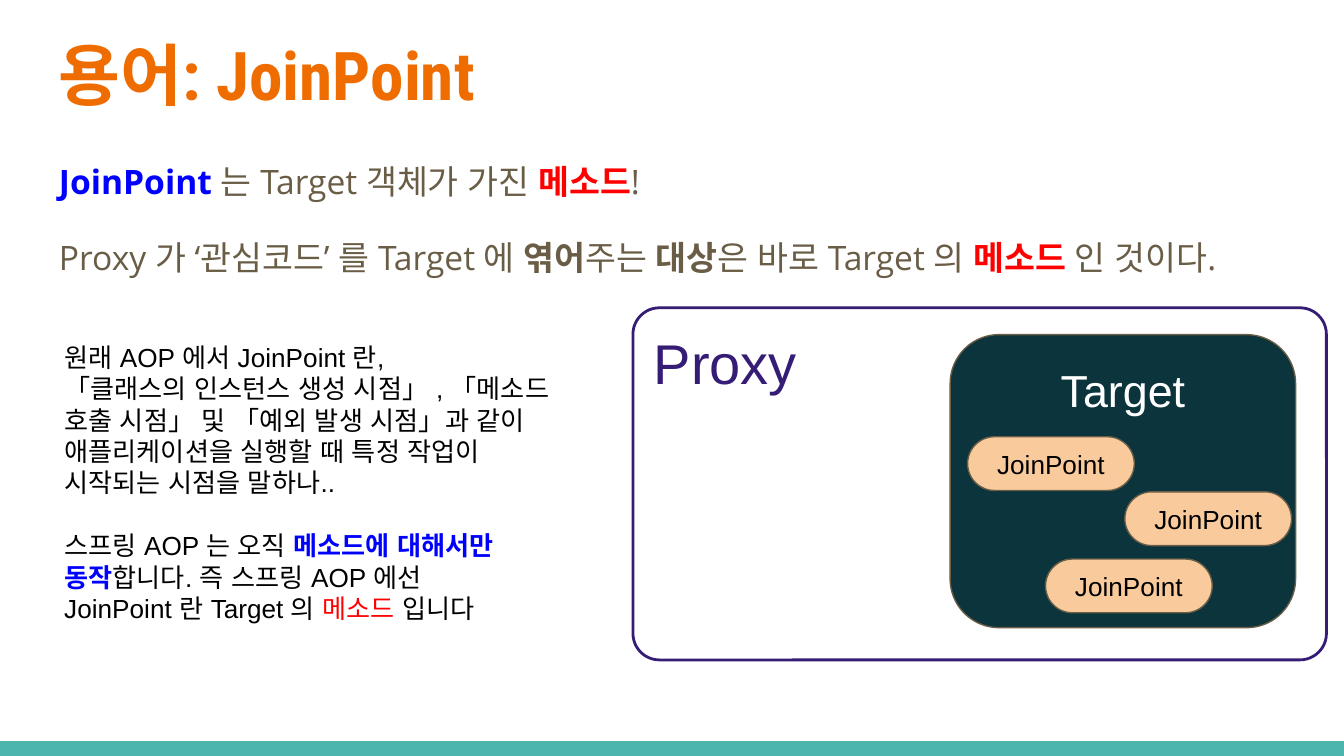
from dataclasses import dataclass

from lxml.etree import SubElement
from pptx import Presentation
from pptx.dml.color import RGBColor
from pptx.enum.shapes import MSO_SHAPE
from pptx.enum.text import MSO_ANCHOR, PP_ALIGN
from pptx.oxml.ns import qn
from pptx.util import Inches, Pt

COLUMNS, ROWS = 100, 56.25
ORANGE, BROWN, BLUE, RED = "EF6C00", "695D46", "0000FF", "FF0000"
BLACK, WHITE, PURPLE, NAVY = "000000", "FFFFFF", "351C75", "0C343D"
PEACH, TEAL = "F9CB9C", "4DB6AC"

presentation = Presentation()
presentation.slide_width = Inches(10)
presentation.slide_height = Inches(5.625)
slide = presentation.slides.add_slide(presentation.slide_layouts[6])


@dataclass(frozen=True)
class Area:
    """A place on the slide, in grid columns and rows."""
    left: float
    top: float
    width: float
    height: float

    def lengths(self) -> list[int]:
        column = presentation.slide_width / COLUMNS
        row = presentation.slide_height / ROWS
        return [round(self.left * column), round(self.top * row),
                round(self.width * column), round(self.height * row)]


@dataclass(frozen=True)
class Span:
    text: str
    color: str
    bold: bool = False


def rgb(color: str) -> RGBColor:
    return RGBColor.from_string(color)


def write(shape, *paragraphs: list[Span], size: float, font: str = "Arial",
          align=PP_ALIGN.LEFT, anchor=MSO_ANCHOR.TOP, inset: float = 0.1,
          line_spacing: float = 1.0, gaps: tuple = ()) -> None:
    """Fill a shape with text; gaps are the points before each later paragraph."""
    frame = shape.text_frame
    frame.word_wrap = True
    frame.vertical_anchor = anchor
    frame.margin_left = frame.margin_right = Inches(inset)
    frame.margin_top = frame.margin_bottom = Inches(inset)
    for index, spans in enumerate(paragraphs):
        paragraph = frame.add_paragraph() if index else frame.paragraphs[0]
        paragraph.alignment = align
        paragraph.line_spacing = line_spacing
        if index and gaps:
            paragraph.space_before = Pt(gaps[index - 1])
        for span in spans:
            for position, line in enumerate(span.text.split("\n")):
                if position:
                    paragraph.add_line_break()
                run = paragraph.add_run()
                run.text = line
                run.font.size = Pt(size)
                run.font.bold = span.bold
                run.font.color.rgb = rgb(span.color)
                run.font.name = font
                for script in ("a:ea", "a:cs"):
                    SubElement(run.font._element, qn(script), typeface=font)


def add_text(area: Area, *paragraphs: list[Span], **text_format) -> None:
    write(slide.shapes.add_textbox(*area.lengths()), *paragraphs, **text_format)


def add_block(kind: MSO_SHAPE, area: Area, fill: str = "", line: str = "",
              line_width: float = 0.75):
    shape = slide.shapes.add_shape(kind, *area.lengths())
    shape.shadow.inherit = False
    if fill:
        shape.fill.solid()
        shape.fill.fore_color.rgb = rgb(fill)
    else:
        shape.fill.background()
    if line:
        shape.line.color.rgb = rgb(line)
        shape.line.width = Pt(line_width)
    else:
        shape.line.fill.background()
    return shape


def add_join_point(left: float, top: float) -> None:
    shape = add_block(MSO_SHAPE.FLOWCHART_TERMINATOR, Area(left, top, 12.4, 4),
                      PEACH, BROWN)
    write(shape, [Span("JoinPoint", BLACK)], size=14, inset=0,
          align=PP_ALIGN.CENTER, anchor=MSO_ANCHOR.MIDDLE)


add_block(MSO_SHAPE.RECTANGLE, Area(0, ROWS - 1.1, COLUMNS, 1.1), TEAL)

add_text(Area(3.4, 1.5, 93.2, 7.7), [Span("용어: JoinPoint", ORANGE, True)],
         size=36, font="Roboto Condensed")

add_text(
    Area(3.4, 10.5, 94.4, 11.4),
    [Span("JoinPoint ", BLUE, True), Span("는 Target 객체가 가진 ", BROWN),
     Span("메소드", RED, True), Span("!", BROWN)],
    [Span("Proxy 가 ‘관심코드’ 를 Target 에 ", BROWN), Span("엮어", BROWN, True),
     Span("주는 ", BROWN), Span("대상", BROWN, True),
     Span("은 바로 Target 의 ", BROWN), Span("메소드 ", RED, True),
     Span("인 것이다.", BROWN)],
    size=18, font="Open Sans", line_spacing=1.15, gaps=(16,))

proxy = add_block(MSO_SHAPE.ROUNDED_RECTANGLE, Area(47.1, 22.9, 51.6, 26.2),
                  line=PURPLE, line_width=1.5)
proxy.adjustments[0] = 0.075
write(proxy, [Span("Proxy", PURPLE)], size=30)

target = add_block(MSO_SHAPE.ROUNDED_RECTANGLE, Area(70.7, 24.9, 25.7, 21.8),
                   NAVY, BROWN)
write(target, [Span("Target", WHITE)], size=24, align=PP_ALIGN.CENTER)

add_text(
    Area(3.8, 24.4, 39.7, 26.7),
    [Span("원래 AOP 에서 JoinPoint 란,", BLACK)],
    [Span("「클래스의 인스턴스 생성 시점」 , 「메소드 호출 시점」 및 "
          "「예외 발생 시점」과 같이 애플리케이션을 실행할 때 특정 작업이 "
          "시작되는 시점을 말하나..", BLACK)],
    [Span("스프링 AOP 는 오직 ", BLACK), Span("메소드에 대해서만 동작", BLUE, True),
     Span("합니다. 즉 스프링 AOP 에선\nJoinPoint 란 Target 의 ", BLACK),
     Span("메소드 ", RED), Span("입니다", BLACK)],
    size=14, gaps=(0, 16.8))

for left, top in ((83.7, 36.6), (72, 32.5), (77.8, 41.6)):
    add_join_point(left, top)

presentation.save("out.pptx")
